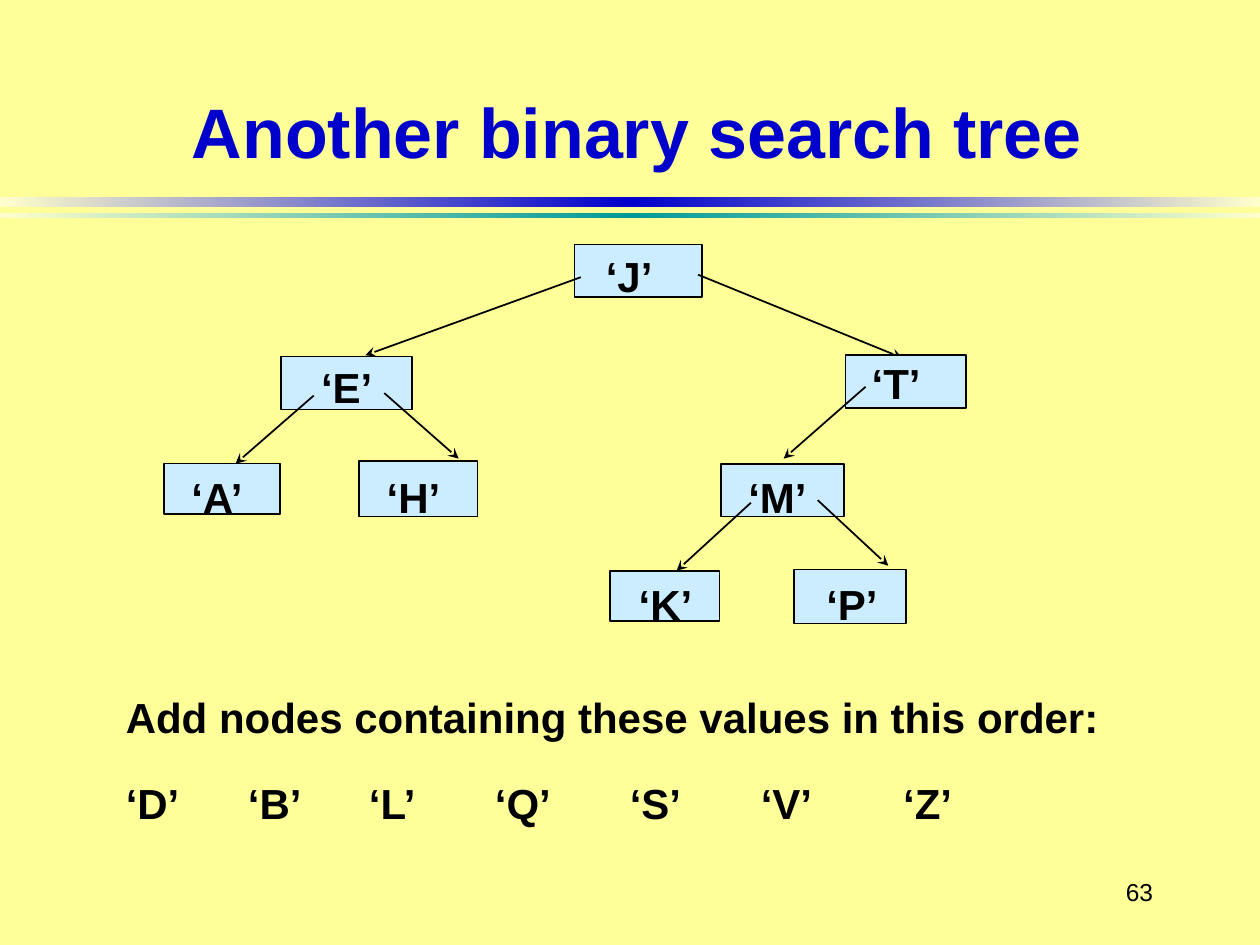
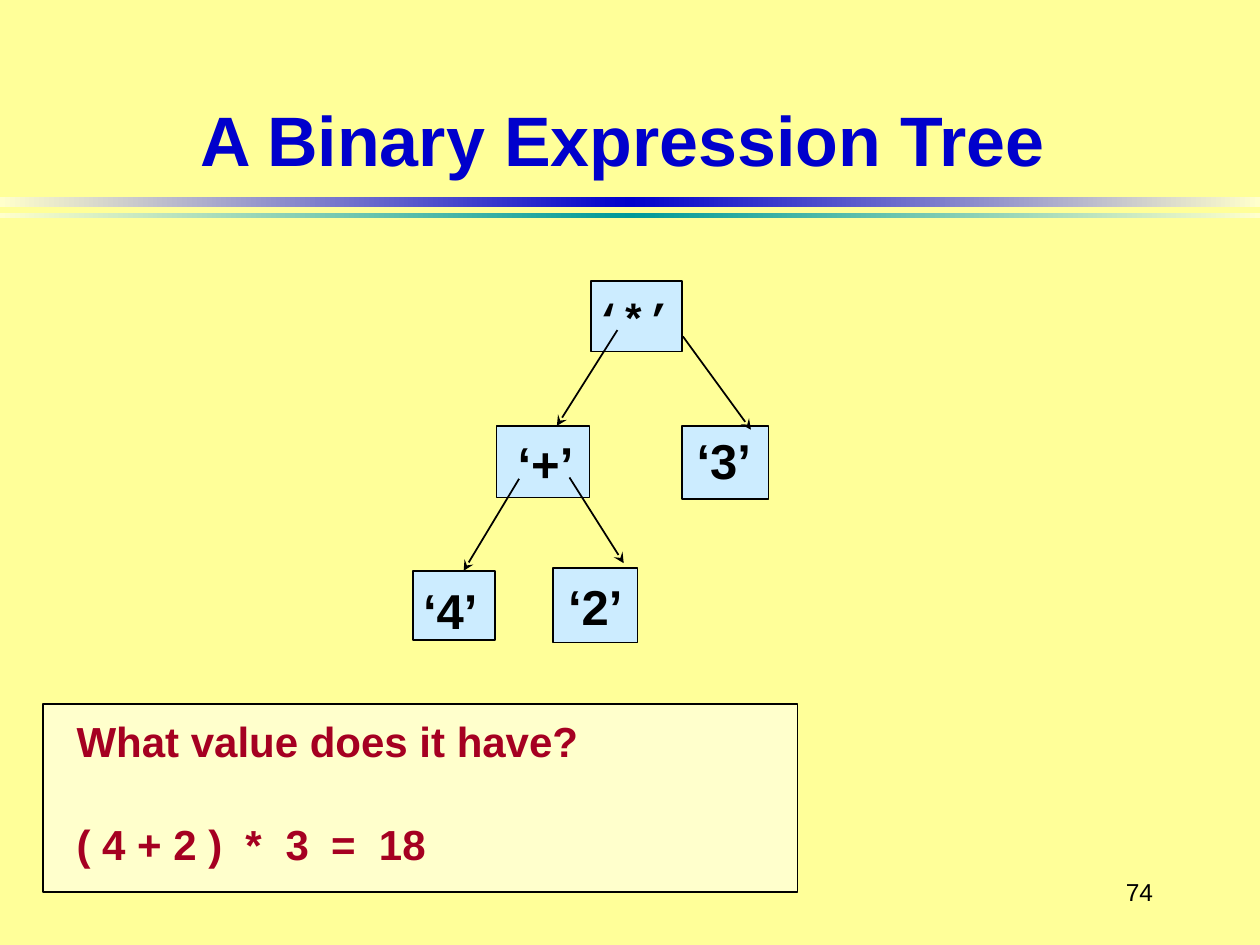
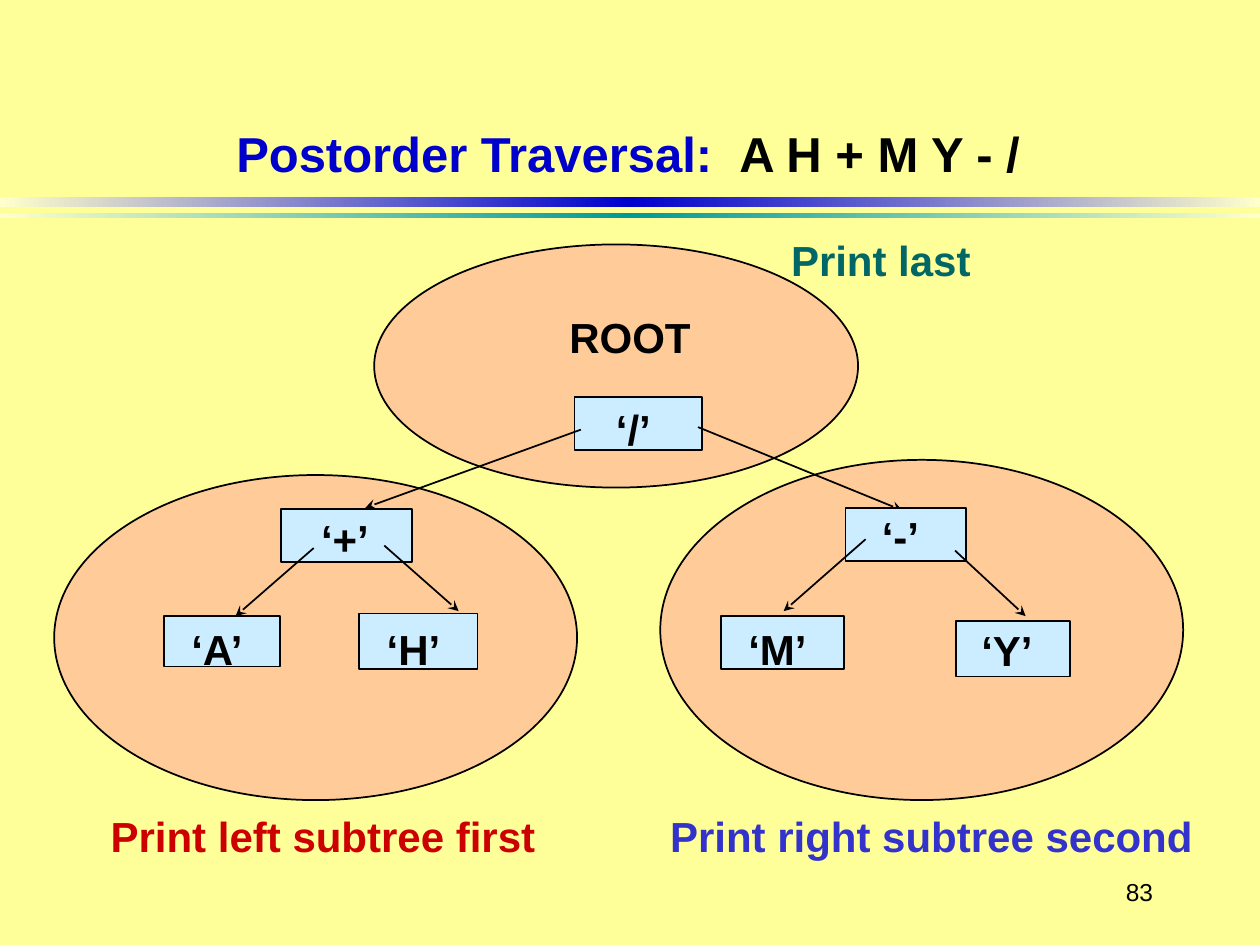
from copy import deepcopy
from dataclasses import dataclass

from lxml.etree import SubElement
from pptx import Presentation
from pptx.dml.color import RGBColor
from pptx.enum.shapes import MSO_CONNECTOR as Connector
from pptx.enum.shapes import MSO_SHAPE as Shape
from pptx.enum.text import MSO_ANCHOR as Anchor
from pptx.enum.text import PP_ALIGN as Align
from pptx.oxml.ns import qn
from pptx.util import Inches, Pt

YELLOW = RGBColor(0xFF, 0xFF, 0x99)
CREAM = RGBColor(0xFF, 0xFF, 0xCC)
BLUE = RGBColor(0x00, 0x00, 0xCC)
TEAL = RGBColor(0x00, 0x99, 0x99)
SKY = RGBColor(0xCC, 0xEC, 0xFF)
PEACH = RGBColor(0xFF, 0xCC, 0x99)
BLACK = RGBColor(0x00, 0x00, 0x00)
MAROON = RGBColor(0xA5, 0x00, 0x21)
RED = RGBColor(0xCC, 0x00, 0x00)
INDIGO = RGBColor(0x33, 0x33, 0xCC)
DARK_TEAL = RGBColor(0x00, 0x66, 0x66)

SANS = "Arial"
MONO = "Courier New"


@dataclass(frozen=True)
class Box:
    left: float
    top: float
    width: float
    height: float

    def lengths(self) -> tuple:
        return tuple(map(Inches, (self.left, self.top, self.width, self.height)))


@dataclass(frozen=True)
class Span:
    text: str
    color: RGBColor = BLACK
    size: float = 24
    bold: bool = True
    font: str = SANS
    spacing: int = 0  # extra hundredths of a point after each character


@dataclass(frozen=True)
class Node:
    box: Box
    label: Span
    label_left: float
    label_top: float


@dataclass(frozen=True)
class Arrow:
    """A pointer from a parent node to its child."""
    start_x: float
    start_y: float
    end_x: float
    end_y: float


def add_text(page, box: Box, *lines: list[Span], align=Align.LEFT,
             anchor=Anchor.TOP, gap: float = 0, tabs: tuple = ()) -> None:
    """Write one paragraph per line; gap and tabs apply after the first line."""
    frame = page.shapes.add_textbox(*box.lengths()).text_frame
    frame.word_wrap = True
    frame.vertical_anchor = anchor
    for index, line in enumerate(lines):
        para = frame.add_paragraph() if index else frame.paragraphs[0]
        para.alignment = align
        if index:
            para.space_before = Pt(gap)
            tab_list = SubElement(para._p.get_or_add_pPr(), qn("a:tabLst"))
            for stop in tabs:
                SubElement(tab_list, qn("a:tab"), pos=str(Inches(stop)), algn="l")
        for span in line:
            run = para.add_run()
            run.text = span.text
            run.font.name = span.font
            run.font.size = Pt(span.size)
            run.font.bold = span.bold
            run.font.color.rgb = span.color
            if span.spacing:
                run._r.get_or_add_rPr().set("spc", str(span.spacing))


def add_outlined(page, kind: Shape, box: Box, color: RGBColor) -> None:
    shape = page.shapes.add_shape(kind, *box.lengths())
    shape.shadow.inherit = False
    shape.fill.solid()
    shape.fill.fore_color.rgb = color
    shape.line.color.rgb = BLACK
    shape.line.width = Pt(1)


def add_band(page, top: float, height: float, color: RGBColor) -> None:
    """Draw a full-width band that fades to cream at both ends."""
    band = page.shapes.add_shape(Shape.RECTANGLE, *Box(0, top, 10, height).lengths())
    band.shadow.inherit = False
    band.line.fill.background()
    band.fill.gradient()
    band.fill.gradient_angle = 0
    stop_list = band._element.spPr.find(".//" + qn("a:gsLst"))
    stop_list.append(deepcopy(stop_list[0]))
    for stop, position, shade in zip(band.fill.gradient_stops, (0, 0.5, 1),
                                     (CREAM, color, CREAM)):
        stop.position = position
        stop.color.rgb = shade


def add_page(deck, number: int, title_box: Box, *title: Span):
    page = deck.slides.add_slide(deck.slide_layouts[6])
    add_band(page, 1.56, 0.08, BLUE)
    add_band(page, 1.69, 0.04, TEAL)
    add_text(page, Box(8.58, 6.83, 0.67, 0.5), [Span(str(number), size=14, bold=False)],
             align=Align.RIGHT, anchor=Anchor.MIDDLE)
    add_text(page, title_box, list(title), align=Align.CENTER, anchor=Anchor.BOTTOM)
    return page


def add_nodes(page, *nodes: Node) -> None:
    for node in nodes:
        add_outlined(page, Shape.RECTANGLE, node.box, SKY)
        add_text(page, Box(node.label_left, node.label_top, 0.85, 0.5), [node.label])


def add_arrows(page, *arrows: Arrow) -> None:
    for arrow in arrows:
        ends = (arrow.start_x, arrow.start_y, arrow.end_x, arrow.end_y)
        line = page.shapes.add_connector(Connector.STRAIGHT, *map(Inches, ends))
        line.line.color.rgb = BLACK
        line.line.width = Pt(1)
        SubElement(line.line._get_or_add_ln(), qn("a:tailEnd"), type="stealth")
        SubElement(line._element.spPr, qn("a:effectLst"))


def add_common_tree(page, top: float, root: str, root_left: float,
                    left: str, right: str, right_left: float) -> None:
    """Draw the six nodes that both large trees share, with the root at top."""
    add_nodes(page, Node(Box(4.56, top, 1.01, 0.42), Span(root), root_left, top))
    add_arrows(page, Arrow(5.54, top + 0.24, 7.16, top + 0.9),
               Arrow(4.61, top + 0.26, 2.9, top + 0.88))
    add_nodes(
        page,
        Node(Box(2.23, top + 0.89, 1.04, 0.42), Span(left), 2.45, top + 0.88),
        Node(Box(6.71, top + 0.88, 0.96, 0.42), Span(right), right_left, top + 0.85),
        Node(Box(1.3, top + 1.74, 0.92, 0.4), Span("‘A’"), 1.42, top + 1.75),
        Node(Box(2.85, top + 1.72, 0.94, 0.44), Span("‘H’"), 2.97, top + 1.75),
        Node(Box(5.72, top + 1.74, 0.98, 0.42), Span("‘M’"), 5.84, top + 1.75),
    )
    add_arrows(page, Arrow(2.49, top + 1.2, 1.87, top + 1.74),
               Arrow(3.05, top + 1.18, 3.64, top + 1.7),
               Arrow(6.87, top + 1.13, 6.22, top + 1.7))


def build_search_tree(deck) -> None:
    page = add_page(deck, 63, Box(0.4, 0.17, 9.31, 1.25),
                    Span("Another binary search tree", BLUE, 40))
    add_common_tree(page, 1.94, "‘J’", 4.71, "‘E’", "‘T’", 6.82)
    add_nodes(page, Node(Box(4.84, 4.53, 0.87, 0.4), Span("‘K’"), 4.97, 4.54),
              Node(Box(6.3, 4.52, 0.89, 0.43), Span("‘P’"), 6.46, 4.54))
    add_arrows(page, Arrow(5.96, 3.99, 5.37, 4.53), Arrow(6.49, 3.97, 7.05, 4.49))
    add_text(page, Box(0.9, 5.44, 8.2, 1.17),
             [Span("Add nodes containing these values in this order:")],
             [Span("‘D’\t‘B’\t‘L’\t‘Q’\t‘S’\t‘V’\t‘Z’")],
             gap=20, tabs=(0.97, 1.93, 2.93, 4, 5.04, 6.17))


def build_expression_tree(deck) -> None:
    page = add_page(deck, 74, Box(0.65, 0.23, 8.58, 1.25),
                    Span("A Binary Expression Tree", BLUE, 40))
    add_nodes(
        page,
        Node(Box(4.69, 2.23, 0.72, 0.56), Span("‘*’", font=MONO), 4.63, 2.27),
        Node(Box(3.94, 3.38, 0.74, 0.57), Span("‘+’", size=28), 4.01, 3.39),
        Node(Box(5.41, 3.38, 0.69, 0.58), Span("‘3’", size=28), 5.43, 3.37),
        Node(Box(3.28, 4.53, 0.65, 0.55), Span("‘4’", size=28), 3.26, 4.56),
        Node(Box(4.39, 4.51, 0.67, 0.59), Span("‘2’", size=28), 4.41, 4.53),
    )
    add_arrows(page, Arrow(5.42, 2.67, 5.96, 3.41), Arrow(4.52, 3.79, 4.95, 4.47),
               Arrow(4.12, 3.8, 3.68, 4.53), Arrow(4.9, 2.62, 4.42, 3.38))
    add_outlined(page, Shape.RECTANGLE, Box(0.34, 5.59, 5.99, 1.49), CREAM)
    add_text(page, Box(0.51, 5.63, 4.4, 1.3),
             [Span("What value does it have?", MAROON)],
             [Span("( 4 + 2 )\t*\t3\t=\t18", MAROON)],
             gap=30, tabs=(1.34, 1.66, 2.02, 2.4))


def build_postorder(deck) -> None:
    page = add_page(deck, 83, Box(0.33, 0.25, 9.31, 1.25),
                    Span("Postorder Traversal:", BLUE, 28),
                    Span(" ", BLUE, 28, spacing=780),
                    Span("A H + M Y - /", size=28))
    for subtree in (Box(5.24, 3.65, 4.15, 2.7), Box(2.97, 1.94, 3.84, 1.93),
                    Box(0.43, 3.77, 4.15, 2.58)):
        add_outlined(page, Shape.OVAL, subtree, PEACH)
    add_common_tree(page, 3.15, "‘/’", 4.79, "‘+’", "‘-’", 6.9)
    add_nodes(page, Node(Box(7.59, 4.93, 0.9, 0.44), Span("‘Y’"), 7.69, 4.91))
    add_arrows(page, Arrow(7.58, 4.37, 8.14, 4.89))
    for left, top, width, caption in (
        (0.78, 6.38, 3.8, Span("Print left subtree first", RED)),
        (5.22, 6.38, 4.6, Span("Print right subtree second", INDIGO)),
        (6.18, 1.81, 1.8, Span("Print last", DARK_TEAL)),
        (4.42, 2.42, 1.25, Span("ROOT")),
    ):
        add_text(page, Box(left, top, width, 0.5), [caption])


def main() -> None:
    deck = Presentation()
    deck.slide_width, deck.slide_height = Inches(10), Inches(7.5)
    backdrop = deck.slide_master.background.fill
    backdrop.solid()
    backdrop.fore_color.rgb = YELLOW
    build_search_tree(deck)
    build_expression_tree(deck)
    build_postorder(deck)
    deck.save("out.pptx")


if __name__ == "__main__":
    main()
